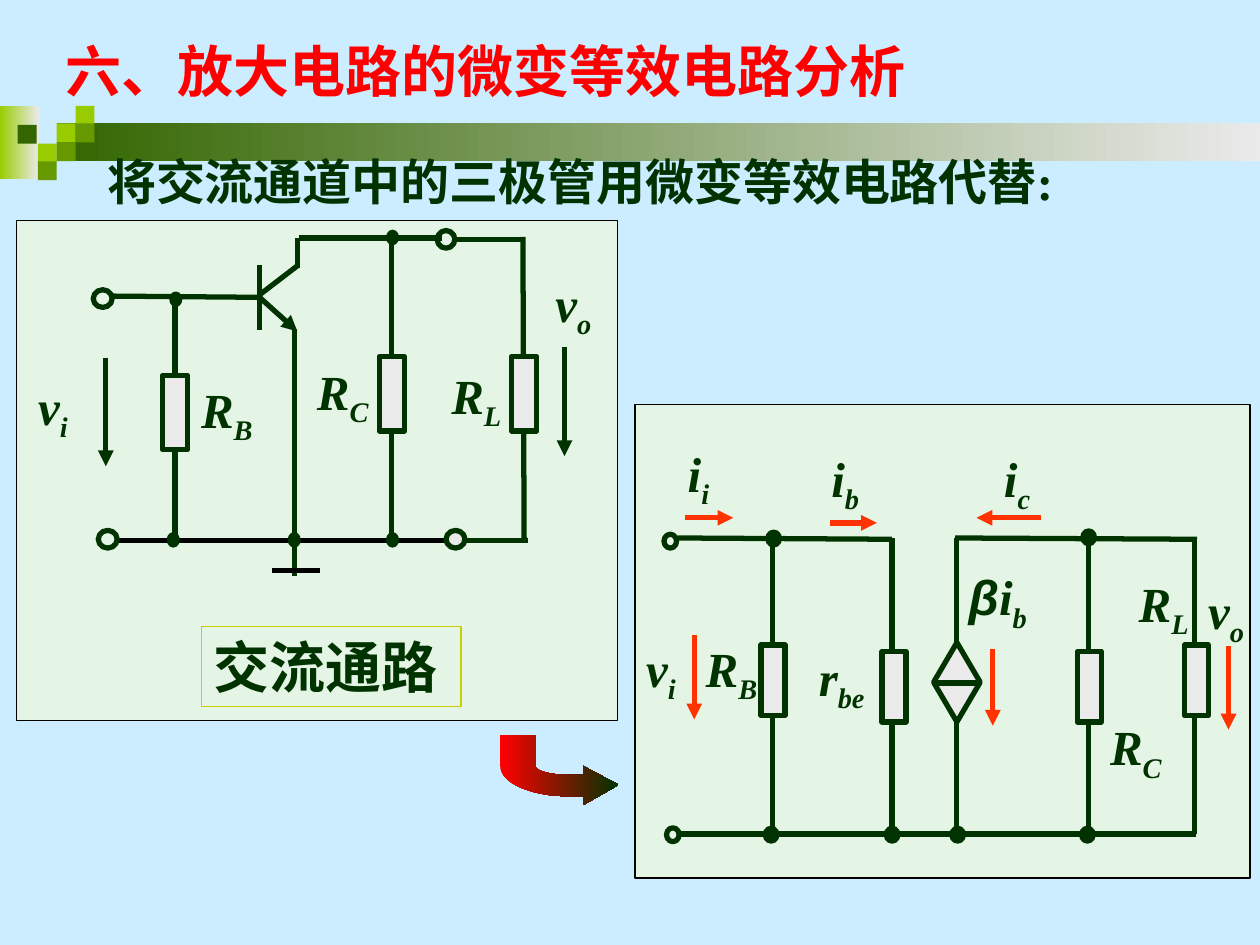
from math import cos, pi, sin

from lxml.etree import SubElement
from pptx import Presentation
from pptx.dml.color import RGBColor
from pptx.enum.shapes import MSO_CONNECTOR, MSO_SHAPE as Shape
from pptx.enum.text import MSO_ANCHOR, MSO_AUTO_SIZE, PP_ALIGN
from pptx.oxml.ns import qn
from pptx.util import Inches, Pt

GREEN, RED, BLACK, GREY = "003300", "FF3300", "000000", "EAEAEA"
LIME, OLIVE, FOREST = "99CC00", "669900", "336600"
color = RGBColor.from_string

prs = Presentation()
prs.slide_width, prs.slide_height = Inches(10), Inches(7.5)
slide = prs.slides.add_slide(prs.slide_layouts[1])
slide.background.fill.solid()
slide.background.fill.fore_color.rgb = color("CCECFF")


def add_part(kind, box, fill=None, line=None, weight=3):
    """Add a preset shape; a pair of colours as fill makes a left-to-right gradient."""
    part = slide.shapes.add_shape(kind, *map(Inches, box))
    part.shadow.inherit = False
    if fill is None:
        part.fill.background()
    elif isinstance(fill, tuple):
        part.fill.gradient()
        part.fill.gradient_angle = 0
        for stop, shade in zip(part.fill.gradient_stops, fill):
            stop.color.rgb = color(shade)
    else:
        part.fill.solid()
        part.fill.fore_color.rgb = color(fill)
    if line:
        part.line.color.rgb = color(line)
        part.line.width = Pt(weight)
    else:
        part.line.fill.background()
    return part


def add_wire(ends, shade=GREEN, arrow=False):
    wire = slide.shapes.add_connector(MSO_CONNECTOR.STRAIGHT, *map(Inches, ends))
    wire.line.color.rgb = color(shade)
    wire.line.width = Pt(3)
    if arrow:
        SubElement(wire.line._get_or_add_ln(), qn("a:tailEnd"), type="triangle")
    SubElement(wire._element.spPr, qn("a:effectLst"))


# Banner
add_part(Shape.RECTANGLE, (0, 0.84, 0.31, 0.58), (LIME, GREY))
add_part(Shape.RECTANGLE, (0.45, 0.98, 9.55, 0.3), (FOREST, GREY))
for x, y, shade in [
    (0.45, 0.98, LIME), (0.6, 0.84, LIME), (0.6, 0.98, OLIVE), (0.3, 1.14, LIME),
    (0.14, 0.99, FOREST), (0.45, 1.13, OLIVE), (0.3, 1.28, OLIVE),
]:
    add_part(Shape.RECTANGLE, (x, y, 0.15, 0.15), shade)

# Circuit panels
for box in [(0.13, 1.75, 4.77, 3.97), (5.04, 3.21, 4.88, 3.76)]:
    panel = add_part(Shape.RECTANGLE, box, "FFFFCC", BLACK, 0.75)
    panel_color = panel._element.spPr.find(qn("a:solidFill"))[0]
    SubElement(panel_color, qn("a:alpha"), val="50000")
caption = add_part(Shape.RECTANGLE, (1.6, 4.97, 2.06, 0.64), None, "CCCC00", 0.75)

ac_path_wires = [
    (2.37, 1.89, 3.51, 1.89), (3.11, 4.28, 3.11, 1.87), (1.39, 2.36, 1.39, 4.31),
    (0.89, 2.35, 2.08, 2.36), (2.06, 2.1, 2.06, 2.62), (2.06, 2.34, 2.36, 2.11),
    (2.36, 1.89, 2.36, 2.13), (2.34, 2.61, 2.34, 4.57), (4.15, 1.88, 4.16, 4.3),
    (3.6, 1.9, 4.16, 1.9), (3.63, 4.29, 4.19, 4.29),
]
equivalent_wires = [
    (5.38, 6.62, 9.49, 6.62), (7.59, 6.61, 7.59, 4.27), (5.38, 4.27, 7.08, 4.28),
    (7.08, 6.61, 7.08, 4.27), (7.58, 4.27, 9.5, 4.28), (8.64, 6.61, 8.64, 4.27),
    (6.13, 6.62, 6.13, 4.29), (9.48, 6.62, 9.48, 4.29),
]
for ends in ac_path_wires + equivalent_wires:
    add_wire(ends)
for ground in [(0.92, 4.29, 3.59, 4.29), (2.16, 4.53, 2.54, 4.53)]:
    add_wire(ground, BLACK)

# Emitter and voltage arrows of the AC path
for ends in [(2.06, 2.36, 2.36, 2.63), (0.84, 2.84, 0.84, 3.7), (4.48, 2.75, 4.48, 3.62)]:
    add_wire(ends, arrow=True)

# Current and voltage arrows of the equivalent circuit
for ends in [
    (7.88, 5.15, 7.88, 5.76), (6.59, 4.15, 6.96, 4.15), (5.44, 4.11, 5.82, 4.11),
    (8.26, 4.11, 7.75, 4.11), (5.51, 5.04, 5.51, 5.71), (9.75, 5.13, 9.75, 5.79),
]:
    add_wire(ends, RED, arrow=True)

# Resistors
for x, y, width, height in [
    (1.29, 2.98, 0.2, 0.59), (3.01, 2.83, 0.2, 0.59), (4.06, 2.83, 0.2, 0.59),
    (7, 5.17, 0.19, 0.56), (8.55, 5.17, 0.19, 0.56),
    (6.04, 5.12, 0.19, 0.56), (9.4, 5.12, 0.19, 0.56),
]:
    add_part(Shape.RECTANGLE, (x, y, width, height), GREY, GREEN)

# Controlled current source
add_part(Shape.DIAMOND, (7.41, 5.1, 0.37, 0.63), GREY, GREEN)
add_wire((7.42, 5.42, 7.78, 5.42))

# Terminals
for x, y, width, height, fill in [
    (0.74, 2.3, 0.15, 0.14, None), (0.78, 4.21, 0.15, 0.14, None),
    (3.47, 1.83, 0.14, 0.14, None), (3.54, 4.21, 0.15, 0.14, GREY),
    (5.29, 6.57, 0.1, 0.11, None), (5.27, 4.24, 0.1, 0.11, None),
]:
    add_part(Shape.OVAL, (x, y, width, height), fill, GREEN)

# Junctions
ac_path_junctions = [(3.07, 4.23), (3.07, 1.83), (1.33, 4.23), (1.35, 2.32), (2.29, 4.23)]
equivalent_junctions = [
    (7.02, 6.56), (7.54, 6.56), (8.57, 6.56), (8.58, 4.2), (6.06, 6.56), (6.08, 4.21),
]
for junctions, width, height in [
    (ac_path_junctions, 0.09, 0.11), (equivalent_junctions, 0.12, 0.13),
]:
    for x, y in junctions:
        add_part(Shape.OVAL, (x, y, width, height), GREEN, GREEN, 1)

# Quantity labels: symbol, subscript, left, top, width, alignment
LEFT, CENTER = PP_ALIGN.LEFT, PP_ALIGN.CENTER
for symbol, subscript, x, y, width, align in [
    ("R", "B", 1.38, 2.96, 0.84, CENTER), ("R", "C", 2.37, 2.82, 0.7, CENTER),
    ("R", "L", 3.43, 2.85, 0.7, CENTER), ("v", "i", 0.13, 2.94, 0.58, CENTER),
    ("v", "o", 4.26, 2.12, 0.58, CENTER), ("v", "i", 5.03, 5.02, 0.61, LEFT),
    ("r", "be", 6.28, 5.09, 0.8, CENTER), ("βi", "b", 7.59, 4.45, 1.13, LEFT),
    ("i", "b", 6.5, 3.51, 1.09, LEFT), ("i", "i", 5.36, 3.47, 1.09, LEFT),
    ("i", "c", 7.87, 3.51, 0.63, LEFT), ("v", "o", 9.49, 4.56, 0.61, LEFT),
    ("R", "B", 5.38, 5.02, 0.85, CENTER), ("R", "C", 8.6, 5.64, 0.83, CENTER),
    ("R", "L", 8.77, 4.5, 0.93, CENTER),
]:
    frame = slide.shapes.add_textbox(*map(Inches, (x, y, width, 0.63))).text_frame
    frame.word_wrap = True
    frame.vertical_anchor = MSO_ANCHOR.MIDDLE
    paragraph = frame.paragraphs[0]
    paragraph.alignment = align
    for text in [*symbol, subscript]:
        run = paragraph.add_run()
        run.text = text
        run.font.name = "Arial" if text == "β" else "Times New Roman"
        run.font.size = Pt(28)
        run.font.bold = run.font.italic = True
        run.font.color.rgb = color(GREEN)
    run.font._element.set("baseline", "-25000")

# Title, lead sentence and caption; the placeholders go in front of the banner
title, lead = slide.placeholders
for holder, box in [(title, (0.42, 0.24, 7.5, 0.64)), (lead, (0.75, 1.15, 8.47, 0.57))]:
    holder.left, holder.top, holder.width, holder.height = map(Inches, box)
    slide.shapes._spTree.append(holder._element)
for holder, text, size, shade, anchor in [
    (title, "六、放大电路的微变等效电路分析", 32, "FF0000", MSO_ANCHOR.MIDDLE),
    (lead, "将交流通道中的三极管用微变等效电路代替:", 28, GREEN, MSO_ANCHOR.MIDDLE),
    (caption, "交流通路", 32, GREEN, MSO_ANCHOR.TOP),
]:
    frame = holder.text_frame
    frame.word_wrap = True
    frame.auto_size = MSO_AUTO_SIZE.NONE
    frame.vertical_anchor = anchor
    paragraph = frame.paragraphs[0]
    paragraph.alignment = LEFT
    paragraph.space_before = Pt(0)
    properties = paragraph._p.get_or_add_pPr()
    properties.set("marL", "0")
    properties.set("indent", "0")
    SubElement(properties, qn("a:buNone"))
    run = paragraph.add_run()
    run.text = text
    run.font.name = "Times New Roman"
    run.font.size = Pt(size)
    run.font.bold = True
    run.font.color.rgb = color(shade)

# Bent arrow from the AC path to the equivalent circuit
quarter = [pi / 2 * (1 + step / 16) for step in range(17)]
outer_bend = [(4.51 + 0.54 * cos(a), 6.08 + 0.24 * sin(a)) for a in quarter]
inner_bend = [(4.51 + 0.26 * cos(a), 6.08 + 0.07 * sin(a)) for a in reversed(quarter)]
outline = [
    (4.63, 6.39), (4.63, 6.32), *outer_bend, (3.97, 5.83), (4.25, 5.83),
    *inner_bend, (4.63, 6.15), (4.63, 6.08),
]
builder = slide.shapes.build_freeform(Inches(4.91), Inches(6.23))
builder.add_line_segments([(Inches(x), Inches(y)) for x, y in outline], close=True)
bent_arrow = builder.convert_to_shape()
bent_arrow.shadow.inherit = False
bent_arrow.line.fill.background()
bent_arrow.fill.gradient()
bent_arrow.fill.gradient_angle = 0
for stop, shade in zip(bent_arrow.fill.gradient_stops, ("FF0000", GREEN)):
    stop.color.rgb = color(shade)

prs.save("out.pptx")
